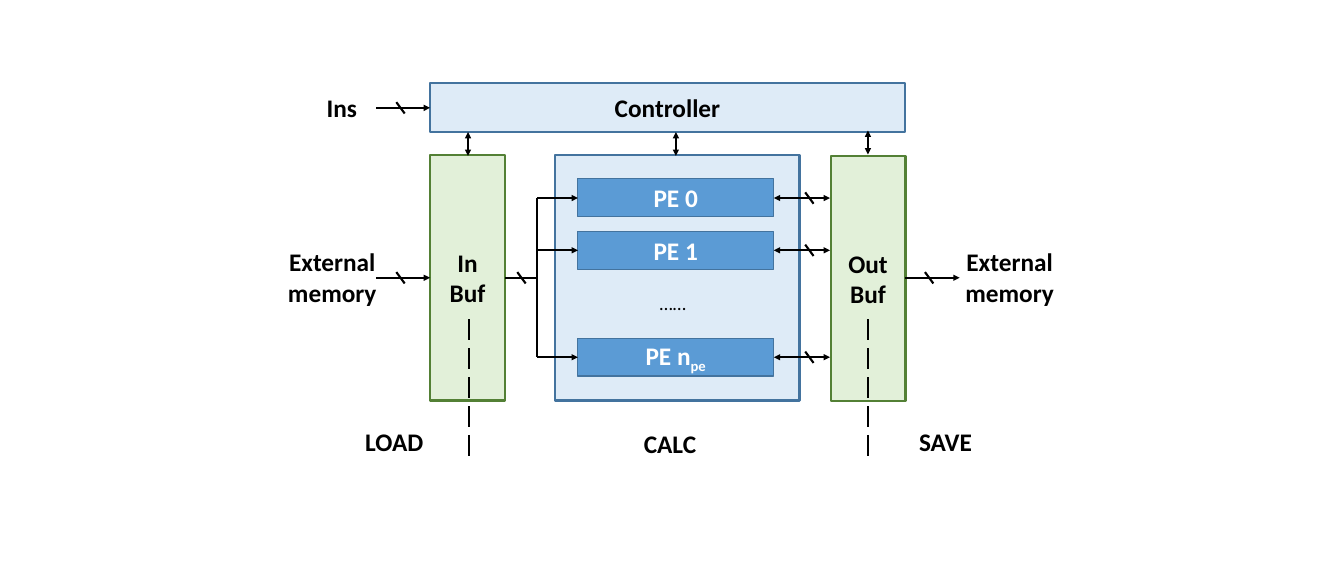
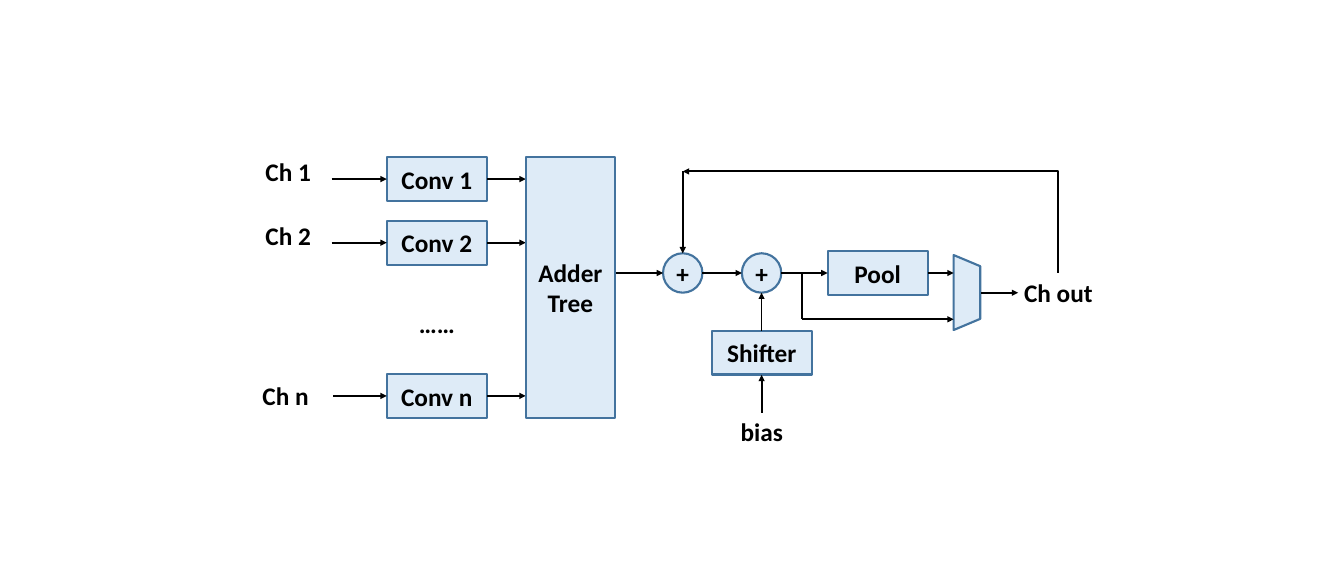
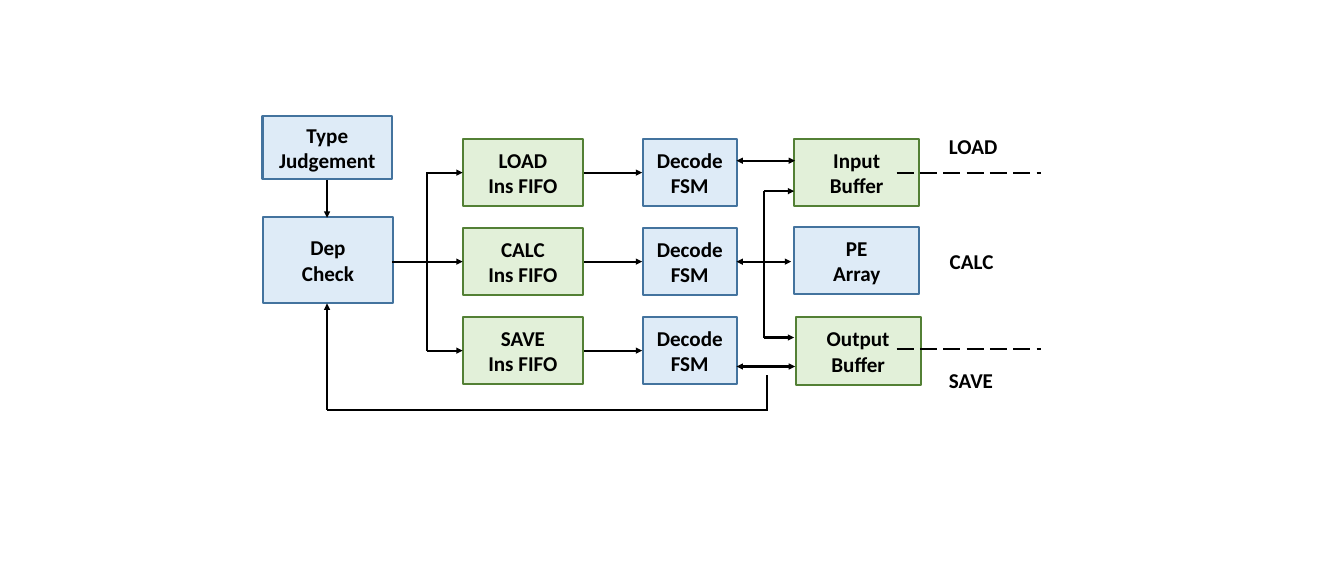
from lxml.etree import SubElement
from pptx import Presentation
from pptx.dml.color import RGBColor
from pptx.enum.dml import MSO_LINE as Dash
from pptx.enum.shapes import MSO_CONNECTOR as Link, MSO_SHAPE as Preset
from pptx.enum.text import MSO_ANCHOR as Anchor, PP_ALIGN as Align
from pptx.oxml.ns import qn
from pptx.util import Cm, Pt

FONT = "Calibri"
BLACK, WHITE = "000000", "FFFFFF"
BLUE = ("DEEBF7", "43739E")
GREEN = ("E2F0D9", "538035")
STRONG_BLUE = ("5B9BD5", "43739E")


def colour(value):
    return RGBColor.from_string(value)


def write(frame, text, size=24, ink=BLACK, bold=True, align=Align.CENTER, sub=""):
    for index, row in enumerate(text.split("\n")):
        para = frame.add_paragraph() if index else frame.paragraphs[0]
        para.alignment = align
        spans = [para.add_run()]
        spans[0].text = row
        if sub:
            spans.append(para.add_run())
            spans[1].text = sub
            spans[1]._r.get_or_add_rPr().set("baseline", "-25000")
        for span in spans:
            span.font.name = FONT
            span.font.size = Pt(size)
            span.font.bold = bold
            span.font.color.rgb = colour(ink)


class Diagram:
    def __init__(self, deck, size):
        self.size = size
        self.page = deck.slides.add_slide(deck.slide_layouts[6])

    def box(self, left, top, width, height, text="", palette=BLUE,
            preset=Preset.RECTANGLE, weight=2, margin=None, **style):
        shape = self.page.shapes.add_shape(preset, Cm(left), Cm(top), Cm(width), Cm(height))
        fill, edge = palette
        shape.shadow.inherit = False
        shape.fill.solid()
        shape.fill.fore_color.rgb = colour(fill)
        shape.line.color.rgb = colour(edge)
        shape.line.width = Pt(weight)
        frame = shape.text_frame
        frame.vertical_anchor = Anchor.MIDDLE
        if margin is not None:
            frame.margin_left = frame.margin_right = Cm(margin)
            frame.margin_top = frame.margin_bottom = Cm(margin)
        if text:
            write(frame, text, **{"size": self.size, **style})
        return shape

    def label(self, left, top, width, height, text, wrap=True, **style):
        frame = self.page.shapes.add_textbox(Cm(left), Cm(top), Cm(width), Cm(height)).text_frame
        frame.word_wrap = wrap
        write(frame, text, **{"size": self.size, **style})

    def line(self, x1, y1, x2, y2, ends="", weight=2, dash=None, kind=Link.STRAIGHT):
        link = self.page.shapes.add_connector(kind, Cm(x1), Cm(y1), Cm(x2), Cm(y2))
        link.line.color.rgb = colour(BLACK)
        link.line.width = Pt(weight)
        if dash:
            link.line.dash_style = dash
        outline = link.line._get_or_add_ln()
        for mark, tag in (("<", "a:headEnd"), (">", "a:tailEnd")):
            if mark in ends:
                SubElement(outline, qn(tag)).set("type", "triangle")
        SubElement(link._element.spPr, qn("a:effectLst"))
        return link

    def arrow(self, x1, y1, x2, y2, **style):
        return self.line(x1, y1, x2, y2, ends=">", **style)

    def double(self, x1, y1, x2, y2):
        return self.line(x1, y1, x2, y2, ends="<>")

    def slash(self, x, y):
        self.line(x - 0.14, y - 0.19, x + 0.14, y + 0.19)

    def up_then_left(self, x1, y1, x2, y2):
        middle_x, middle_y = (x1 + x2) / 2, (y1 + y2) / 2
        half_run, half_rise = (x1 - x2) / 2, (y1 - y2) / 2
        link = self.arrow(middle_x - half_rise, middle_y + half_run,
                          middle_x + half_rise, middle_y - half_run, kind=Link.ELBOW)
        properties = link._element.spPr
        properties.find(qn("a:xfrm")).set("rot", "16200000")
        properties.find(qn("a:prstGeom")).set("prst", "bentConnector2")


def draw_accelerator(deck):
    art = Diagram(deck, 24)
    bus = 9.3
    art.box(14.4, 5.18, 2.51, 8.23, "In\nBuf", GREEN)
    art.box(27.81, 5.21, 2.51, 8.23, "Out\nBuf", GREEN)
    art.box(18.57, 5.18, 8.2, 8.23)
    art.line(16.92, bus, 17.98, bus)
    art.slash(17.46, bus)
    art.line(17.98, 6.63, 17.98, 11.96)
    for name, sub, middle in (("PE 0", "", 6.63), ("PE 1", "", 8.38), ("PE n", "pe", 11.96)):
        art.box(19.35, middle - 0.64, 6.55, 1.27, name, STRONG_BLUE, weight=1, ink=WHITE, sub=sub)
        art.arrow(17.98, middle, 19.35, middle)
        art.double(25.91, middle, 27.79, middle)
        art.slash(27.1, middle)
    art.label(21.84, 9.65, 1.63, 1.02, "……", size=18, bold=False, align=Align.LEFT)

    art.box(14.4, 2.79, 15.9, 1.63, "Controller")
    for x, top in ((15.67, 4.42), (22.63, 4.42), (29.06, 4.37)):
        art.double(x, top, x, top + 0.8)
    for start, end, y in ((12.6, 14.4, 3.61), (12.6, 14.4, bus), (30.3, 32.13, bus)):
        art.arrow(start, y, end, y)
        art.slash(start + 0.81, y)
    for left in (9.37, 32.05):
        art.label(left, 8.13, 3.51, 2.31, "External\nmemory", wrap=False)
    art.label(10.67, 2.97, 1.55, 1.27, "Ins", wrap=False)

    for x in (15.7, 29.06):
        art.line(x, 10.69, x, 15.47, weight=2.5, dash=Dash.LONG_DASH)
    art.label(11.28, 14.15, 3.84, 1.27, "LOAD")
    art.label(19.96, 14.22, 4.95, 1.27, "CALC")
    art.label(29.74, 14.15, 3.84, 1.27, "SAVE")


def draw_processing_element(deck):
    art = Diagram(deck, 24)
    width, height = 3.35, 1.47
    axis = 9.14
    for key, top, label_left, label_top, start in (
            ("1", 5.26, 8.2, 5.11, 11.1),
            ("2", 7.39, 8.2, 7.24, 11.1),
            ("n", 12.52, 8.11, 12.62, 11.15)):
        middle = top + height / 2
        art.label(label_left, label_top, 2.9, 1.27, f"Ch {key}")
        art.box(12.95, top, width, height, f"Conv {key}")
        art.arrow(start, middle, 12.95, middle)
        art.arrow(16.31, middle, 17.6, middle)
    art.label(12.95, 10.19, width, 1.27, "……")
    art.box(17.6, 5.26, 3, 8.74, "Adder\nTree")

    for left in (22.2, 24.84):
        art.box(left, 8.48, 1.32, 1.32, "+", preset=Preset.OVAL, margin=0)
    art.box(27.71, 8.41, width, height, "Pool")
    art.box(23.83, 11.07, width, height, "Shifter")
    art.label(24.31, 13.82, 2.39, 1.27, "bias")
    selector = art.box(31.12, 9.35, 2.51, 0.89, preset=Preset.TRAPEZOID)
    selector.adjustments[0] = 0.42
    selector.rotation = 90
    art.label(33.86, axis, 3.15, 1.27, "Ch out")

    for start, end in ((20.62, 22.2), (23.52, 24.84), (26.16, 27.71), (31.06, 31.93)):
        art.arrow(start, axis, end, axis)
    art.arrow(25.5, 11.07, 25.5, 9.8, weight=1.5)
    art.arrow(25.5, 13.82, 25.5, 12.55)
    art.line(26.85, axis, 26.85, 10.69)
    art.arrow(26.85, 10.69, 31.93, 10.69)
    art.arrow(32.84, 9.8, 34.09, 9.8)
    art.up_then_left(35.43, axis, 22.86, 5.74)
    art.arrow(22.86, 5.74, 22.86, 8.48)


def draw_controller(deck):
    art = Diagram(deck, 20)
    height = 2.26
    art.box(8.79, 3.89, 4.34, 2.11, "Type\nJudgement")
    art.box(8.81, 7.26, 4.34, 2.9, "Dep\nCheck")
    art.arrow(10.95, 6.02, 10.95, 7.29)
    art.line(14.3, 5.77, 14.3, 11.76)

    stages = (
        ("LOAD", "Input\nBuffer", GREEN, 26.59, 4.65, 14.3, 5.38, 26.62, 31.52, 4.34),
        ("CALC", "PE\nArray", BLUE, 26.59, 7.59, 13.13, 8.76, 26.49, 31.55, 8.2),
        ("SAVE", "Output\nBuffer", GREEN, 26.64, 10.62, 14.3, 12.27, 26.62, 31.52, 12.17),
    )
    for index, stage in enumerate(stages):
        name, unit, palette, left, top, start, link_y, link_end, label_left, label_top = stage
        row = 4.65 + 2.98 * index
        middle = row + height / 2
        art.box(15.49, row, 4.04, height, f"{name}\nIns FIFO", GREEN)
        art.box(21.52, row, 3.15, height, "Decode\nFSM")
        art.box(left, top, 4.19, height, unit, palette)
        art.arrow(start, middle, 15.49, middle)
        art.arrow(19.56, middle, 21.5, middle)
        art.double(24.66, link_y, link_end, link_y)
        art.label(label_left, label_top, 3.33, 1.12, name, align=Align.LEFT)

    art.line(25.58, 6.4, 25.58, 11.3)
    for y in (6.4, 11.3):
        art.arrow(25.58, y, 26.59, y)
    art.line(25.68, 12.57, 25.68, 13.77)
    art.line(10.95, 13.72, 25.68, 13.72)
    art.arrow(10.95, 13.72, 10.95, 10.16)
    for y in (5.79, 11.68):
        art.line(30.02, y, 34.87, y, dash=Dash.LONG_DASH)


deck = Presentation()
deck.slide_width, deck.slide_height = Cm(45), Cm(19.05)
for draw in (draw_accelerator, draw_processing_element, draw_controller):
    draw(deck)
deck.save("out.pptx")
